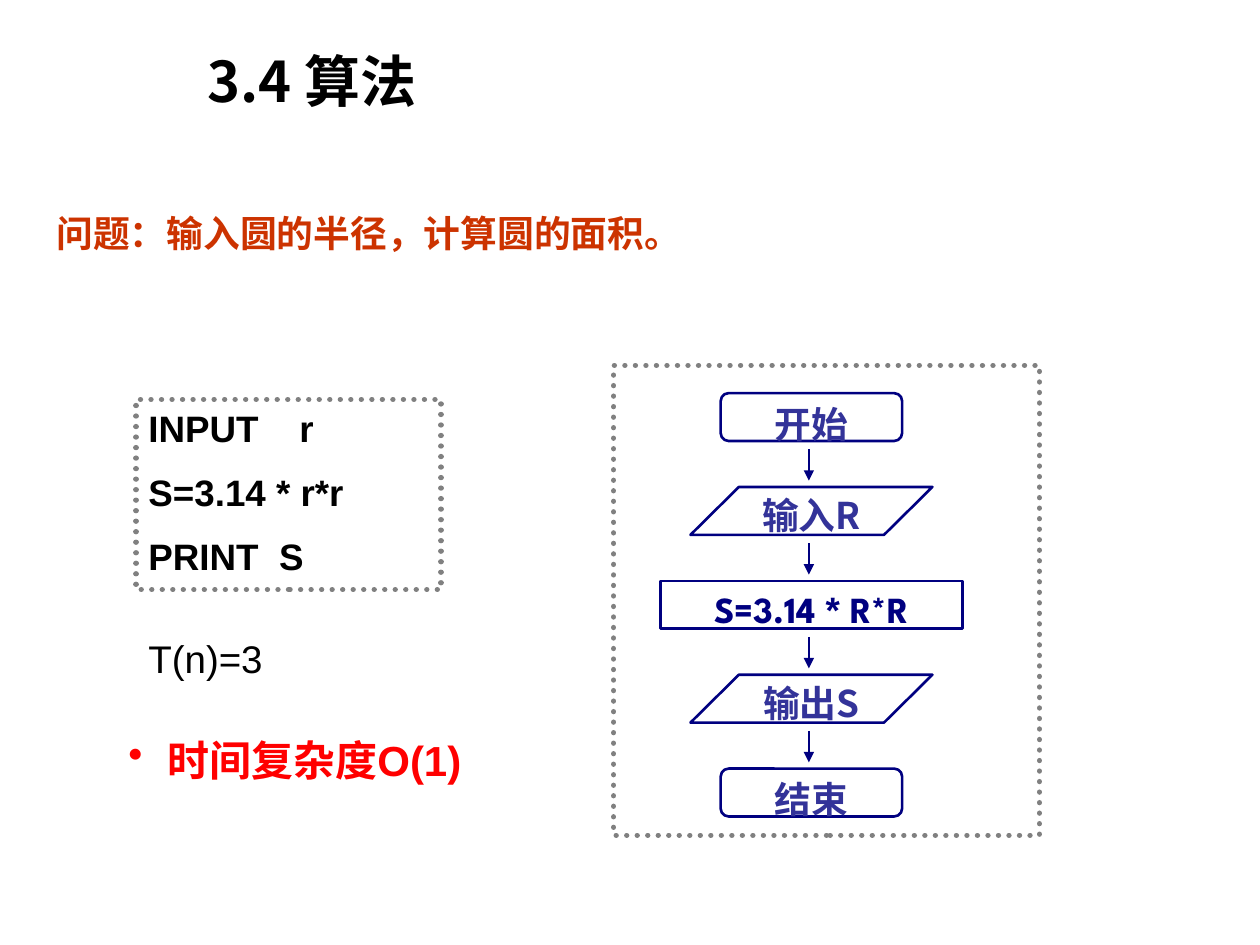
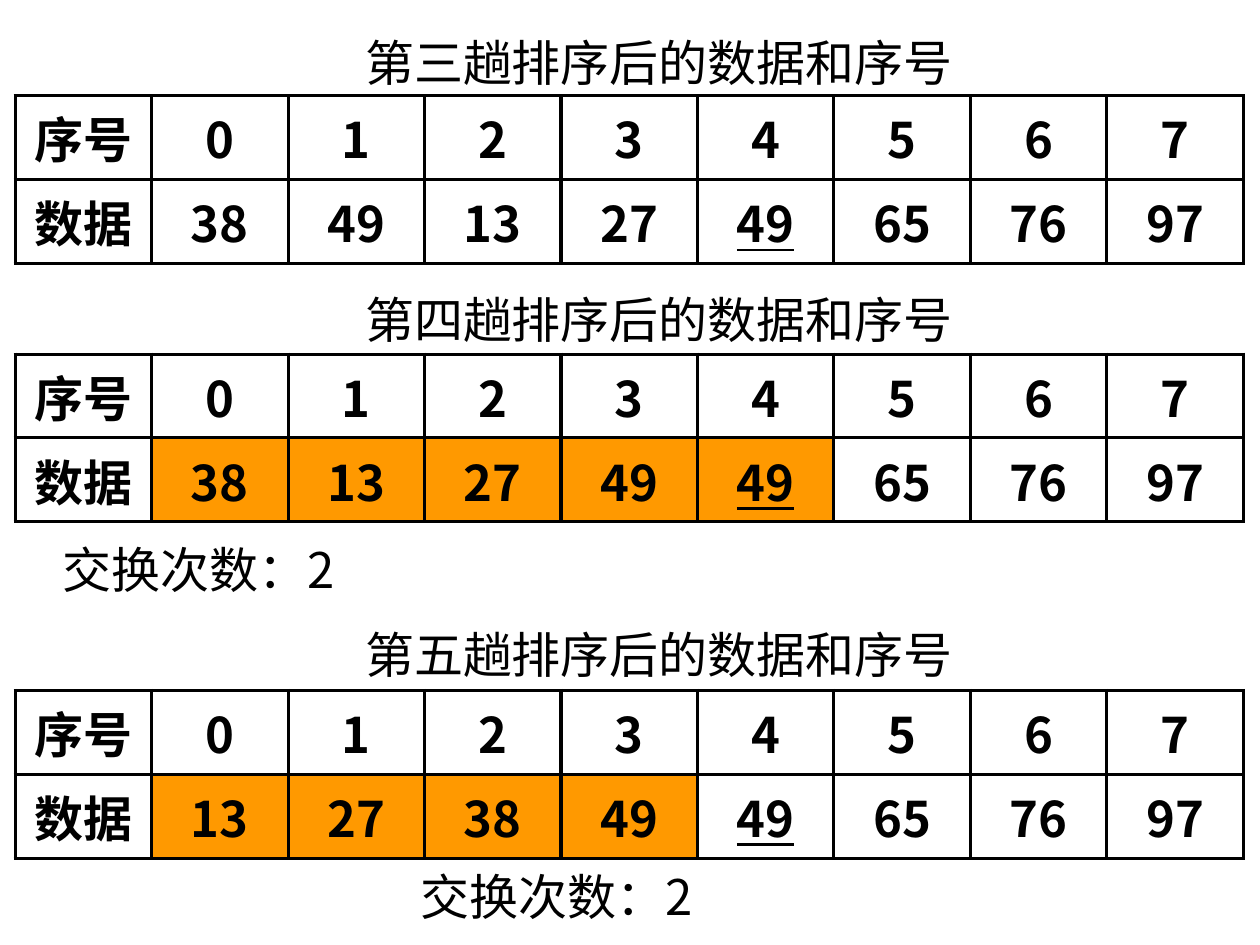
from dataclasses import dataclass

from lxml import etree
from pptx import Presentation
from pptx.dml.color import RGBColor
from pptx.enum.dml import MSO_LINE
from pptx.enum.shapes import MSO_CONNECTOR, MSO_SHAPE
from pptx.enum.text import MSO_ANCHOR, MSO_AUTO_SIZE, PP_ALIGN
from pptx.oxml.ns import qn
from pptx.util import Inches, Pt

LEFT, CENTER = PP_ALIGN.LEFT, PP_ALIGN.CENTER
TOP, MIDDLE = MSO_ANCHOR.TOP, MSO_ANCHOR.MIDDLE
RECT = MSO_SHAPE.RECTANGLE
TERMINAL = MSO_SHAPE.FLOWCHART_ALTERNATE_PROCESS
DATA = MSO_SHAPE.FLOWCHART_DATA
PROCESS = MSO_SHAPE.FLOWCHART_PROCESS
STRAIGHT = MSO_CONNECTOR.STRAIGHT
DOTTED = MSO_LINE.ROUND_DOT
TITLE_ONLY, BLANK = 5, 6
WIDTH, HEIGHT = Inches(10), Inches(7.5)
COLS, ROWS = 100, 75


@dataclass(frozen=True)
class Theme:
    """Colours, fonts and type sizes of the deck."""
    black: str = "000000"
    white: str = "FFFFFF"
    dots: str = "808080"
    navy: str = "000080"
    indigo: str = "333399"
    question: str = "CC3300"
    accent: str = "FF0000"
    sorted: str = "FF9900"
    latin: str = "Arial"
    cjk: str = "Noto Sans CJK SC"
    formula: str = "League Spartan"
    title_size: int = 32
    table_size: int = 28
    result_size: int = 24
    count_size: int = 22
    body_size: int = 21


T = Theme()


def rgb(value):
    """Turn a hex string into a colour."""
    return RGBColor.from_string(value)


def grid(*lengths):
    """Turn alternating column and row counts into slide lengths."""
    units = (WIDTH / COLS, HEIGHT / ROWS)
    return [round(n * units[i % 2]) for i, n in enumerate(lengths)]


def write(tf, paragraphs, size=T.body_size, color=T.black, font=T.latin,
          bold=False, underline=False, align=LEFT, anchor=TOP, gap=0,
          spacing=None):
    """Fill a text frame; a paragraph is a string or (text, font) pairs."""
    tf.word_wrap = True
    tf.vertical_anchor = anchor
    for i, parts in enumerate(paragraphs):
        p = tf.paragraphs[0] if i == 0 else tf.add_paragraph()
        p.alignment = align
        p.space_before = Pt(gap if i else 0)
        if spacing:
            p.line_spacing = spacing
        for text, face in [(parts, font)] if isinstance(parts, str) else parts:
            r = p.add_run()
            r.text = text
            r.font.size, r.font.name = Pt(size), face
            r.font.bold, r.font.underline = bold, underline
            r.font.color.rgb = rgb(color)
            ea = etree.SubElement(r.font._element, qn("a:ea"))
            ea.set("typeface", T.cjk)


def add_text(slide, box, text, **fmt):
    """Add a text box and return its frame."""
    tf = slide.shapes.add_textbox(*grid(*box)).text_frame
    write(tf, [text], **fmt)
    return tf


def add_title(slide, box, text):
    """Place and format the title placeholder."""
    sp = slide.shapes.title
    sp.left, sp.top, sp.width, sp.height = grid(*box)
    write(sp.text_frame, [text], size=T.title_size, font=T.cjk, bold=True,
          align=CENTER)
    sp.text_frame.auto_size = MSO_AUTO_SIZE.NONE


def add_bullet(p, indent):
    """Give a paragraph a hanging round bullet."""
    pPr = p._p.get_or_add_pPr()
    pPr.set("marL", str(indent))
    pPr.set("indent", str(-indent))
    etree.SubElement(pPr, qn("a:buChar")).set("char", "•")


def add_outlined(shapes, kind, box, color, width, fill=None):
    """Add a preset shape with an outline and an optional fill."""
    sp = shapes.add_shape(kind, *grid(*box))
    sp.shadow.inherit = False
    sp.line.color.rgb = rgb(color)
    sp.line.width = Pt(width)
    if fill:
        sp.fill.solid()
        sp.fill.fore_color.rgb = rgb(fill)
    else:
        sp.fill.background()
    return sp


def add_dotted_frame(shapes, box):
    """Add an unfilled frame of round dots."""
    sp = add_outlined(shapes, RECT, box, T.dots, 3)
    sp.line.dash_style = DOTTED
    sp.line._get_or_add_ln().set("cap", "rnd")
    return sp


def add_arrow(shapes, x, top, length):
    """Add a downward arrow."""
    c = shapes.add_connector(STRAIGHT, *grid(x, top, x, top + length))
    c.line.color.rgb = rgb(T.navy)
    c.line.width = Pt(1.5)
    ln = c.line._get_or_add_ln()
    etree.SubElement(ln, qn("a:tailEnd")).set("type", "triangle")
    etree.SubElement(c._element.spPr, qn("a:effectLst"))


def add_flowchart(slide, box, steps):
    """Add a framed column of steps at an equal pitch, linked by arrows."""
    shapes = slide.shapes.add_group_shape().shapes
    add_dotted_frame(shapes, box)
    middle, first, pitch, height = 64.4, 31.2, 7.45, 3.8
    for i, (kind, width, text, color) in enumerate(steps):
        top = first + i * pitch
        if i:
            add_arrow(shapes, 64.2, top - 3, 2.5)
        sp = add_outlined(shapes, kind, (middle - width / 2, top, width, height),
                          T.navy, 1.5, T.white)
        write(sp.text_frame, [text], color=color, font=T.cjk, bold=True,
              align=CENTER)


def add_borders(cell, color, width):
    """Draw the four borders of a table cell."""
    tcPr = cell._tc.get_or_add_tcPr()
    for i, side in enumerate(("lnL", "lnR", "lnT", "lnB")):
        ln = etree.Element(qn(f"a:{side}"), w=str(Pt(width)))
        fill = etree.SubElement(ln, qn("a:solidFill"))
        etree.SubElement(fill, qn("a:srgbClr")).set("val", color)
        tcPr.insert(i, ln)


def add_pass_table(slide, top, values, changed):
    """Add a table of indices and data, marking the first changed values."""
    rows = [["序号", *map(str, range(len(values)))],
            ["数据", *map(str, values)]]
    table = slide.shapes.add_table(len(rows), len(rows[0]),
                                   *grid(1.2, top, 97.5, 13.3)).table
    table.first_row = table.horz_banding = False
    for i, row in enumerate(rows):
        for j, text in enumerate(row):
            cell = table.cell(i, j)
            if i == 1 and 1 <= j <= changed:
                cell.fill.solid()
                cell.fill.fore_color.rgb = rgb(T.sorted)
            else:
                cell.fill.background()
            write(cell.text_frame, [text], size=T.table_size, font=T.cjk,
                  bold=True, underline=(i, j) == (1, 5), align=CENTER)
            cell.vertical_anchor = MIDDLE
            add_borders(cell, T.black, 2)


def build_algorithm(prs):
    """Build the slide on the circle-area algorithm."""
    slide = prs.slides.add_slide(prs.slide_layouts[TITLE_ONLY])
    add_title(slide, (13.6, 3.2, 22.3, 6.4), "3.4 算法")
    add_text(slide, (3.5, 16.2, 52.3, 4.5),
             "问题：输入圆的半径，计算圆的面积。", color=T.question, bold=True)
    code = add_dotted_frame(slide.shapes, (10.8, 31.7, 24.2, 15.1))
    write(code.text_frame, ["INPUT    r", "S=3.14 * r*r", "PRINT  S"],
          bold=True, gap=11.5)
    add_text(slide, (10.8, 49.9, 17.6, 4.7), "T(n)=3", size=T.count_size)
    tf = add_text(slide, (9.2, 57.4, 31.8, 5.5), "时间复杂度O(1)",
                  size=T.result_size, color=T.accent, bold=True, spacing=1.1)
    add_bullet(tf.paragraphs[0], Inches(0.31))
    formula = [("S=3.14 ", T.formula), ("* ", T.latin), ("R*R", T.formula)]
    add_flowchart(slide, (48.7, 29, 33.8, 37.3), [
        (TERMINAL, 14.4, "开始", T.indigo),
        (DATA, 19.2, "输入R", T.indigo),
        (PROCESS, 24, formula, T.navy),
        (DATA, 19.2, "输出S", T.indigo),
        (TERMINAL, 14.4, "结束", T.indigo),
    ])


def build_sorting(prs):
    """Build the slide on the third to fifth sorting passes."""
    slide = prs.slides.add_slide(prs.slide_layouts[BLANK])
    passes = [
        ("三", 2.1, 7.6, [38, 49, 13, 27, 49, 65, 76, 97], 0),
        ("四", 22.5, 28.1, [38, 13, 27, 49, 49, 65, 76, 97], 5),
        ("五", 49.1, 54.8, [13, 27, 38, 49, 49, 65, 76, 97], 4),
    ]
    for number, caption_top, table_top, values, changed in passes:
        add_text(slide, (28, caption_top, 50.9, 5.7),
                 f"第{number}趟排序后的数据和序号", size=T.table_size)
        add_pass_table(slide, table_top, values, changed)
    for left, top in ((4, 42.3), (32.4, 68.3)):
        add_text(slide, (left, top, 28.8, 5.7), "交换次数：2",
                 size=T.table_size, font=T.cjk)


def main():
    """Build and save the deck."""
    prs = Presentation()
    prs.slide_width, prs.slide_height = WIDTH, HEIGHT
    build_algorithm(prs)
    build_sorting(prs)
    prs.save("out.pptx")


if __name__ == "__main__":
    main()
